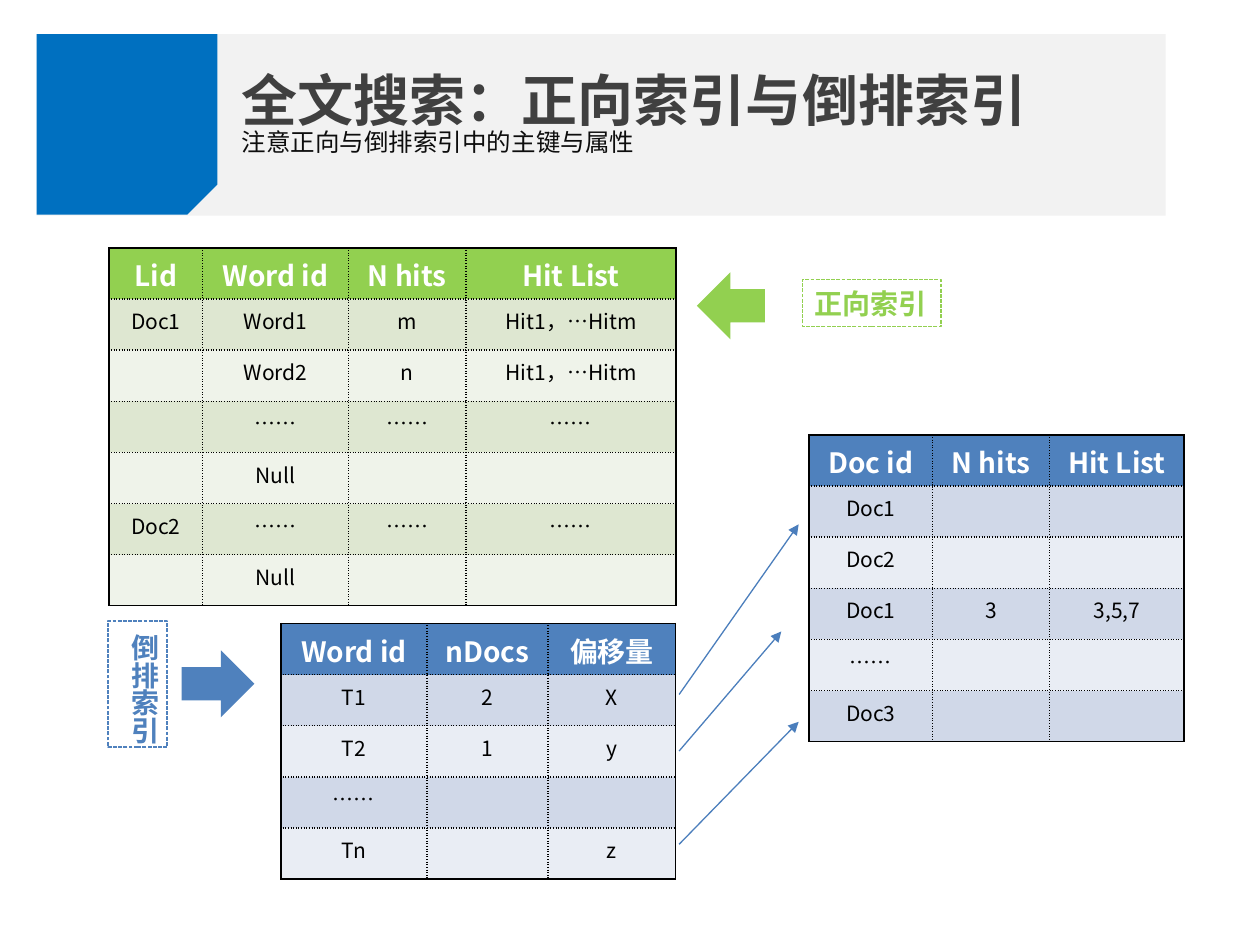
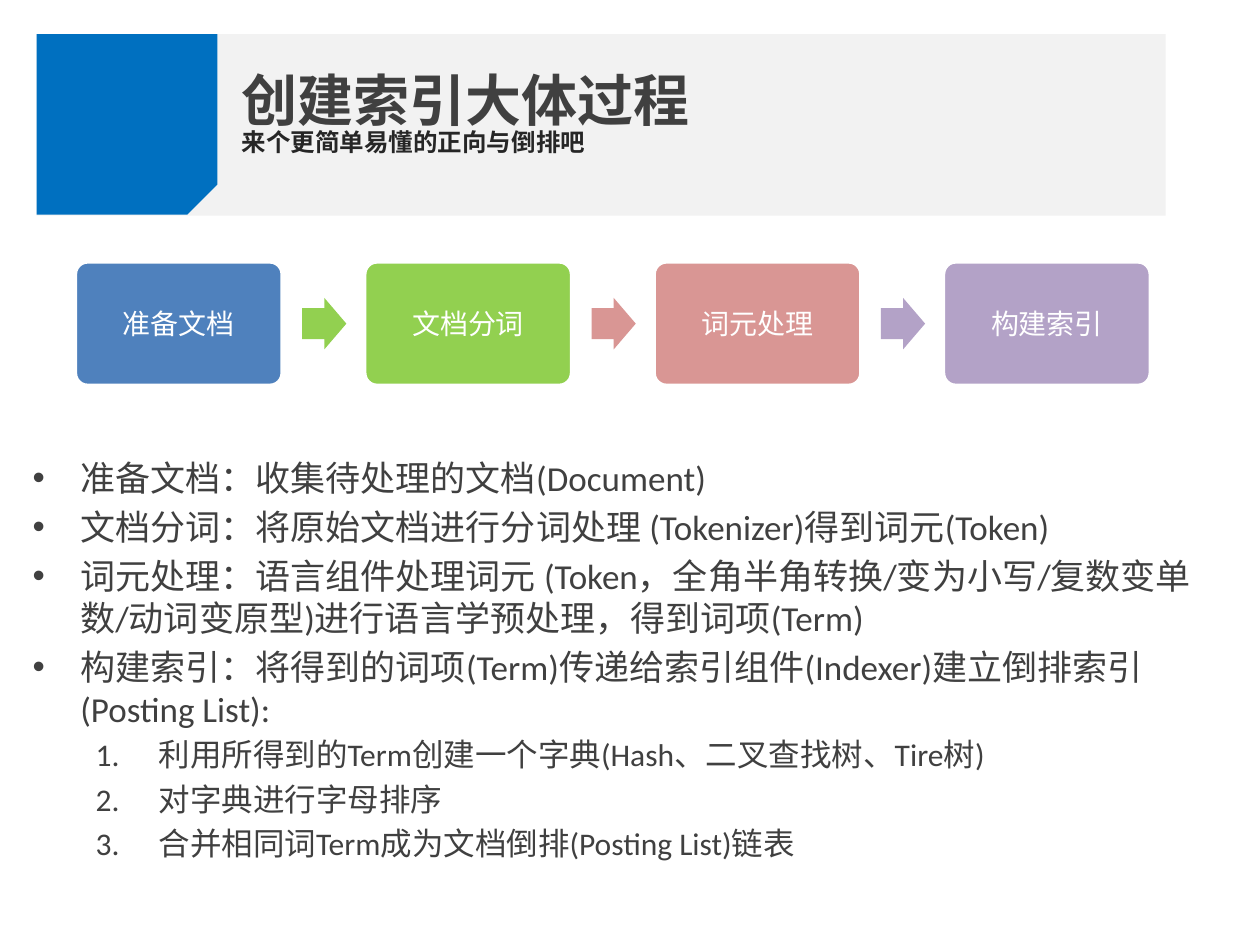
"""Build two slides on forward and inverted indexes."""
from lxml import etree
from pptx import Presentation
from pptx import util as u
from pptx.dml.color import RGBColor
from pptx.enum import dml, shapes, text
from pptx.oxml.ns import qn

CJK_FONT, BODY_FONT = "Noto Sans CJK SC", "Calibri"
BLACK = RGBColor(0x00, 0x00, 0x00)
WHITE = RGBColor(0xFF, 0xFF, 0xFF)
BAND_GREY = RGBColor(0xF2, 0xF2, 0xF2)
BAND_BLUE = RGBColor(0x00, 0x70, 0xC0)
TITLE_GREY = RGBColor(0x40, 0x40, 0x40)
NOTE_BLACK = RGBColor(0x0D, 0x0D, 0x0D)
NOTE_GREY = RGBColor(0x26, 0x26, 0x26)
BLUE = RGBColor(0x4F, 0x81, 0xBD)
GREEN = RGBColor(0x92, 0xD0, 0x50)
ROSE = RGBColor(0xD9, 0x96, 0x94)
PURPLE = RGBColor(0xB3, 0xA2, 0xC7)
LINK_BLUE = RGBColor(0x4B, 0x7E, 0xBC)
GREEN_ROWS = (RGBColor(0xDE, 0xE7, 0xD1), RGBColor(0xEF, 0xF3, 0xEA))
BLUE_ROWS = (RGBColor(0xD0, 0xD8, 0xE8), RGBColor(0xE9, 0xED, 0xF4))
ROW_HEIGHT = 1.03
BAND = (0.74, 0.69, 22.76, 3.66)

FORWARD_ROWS = [
    ("Lid", "Word id", "N hits", "Hit List"),
    ("Doc1", "Word1", "m", "Hit1，…Hitm"),
    ("", "Word2", "n", "Hit1，…Hitm"),
    ("", "……", "……", "……"),
    ("", "Null", "", ""),
    ("Doc2", "……", "……", "……"),
    ("", "Null", "", ""),
]
WORD_ROWS = [
    ("Word id", "nDocs", "偏移量"),
    ("T1", "2", "X"),
    ("T2", "1", "y"),
    ("……", "", ""),
    ("Tn", "", "z"),
]
POSTING_ROWS = [
    ("Doc id", "N hits", "Hit List"),
    ("Doc1", "", ""),
    ("Doc2", "", ""),
    ("Doc1", "3", "3,5,7"),
    ("……", "", ""),
    ("Doc3", "", ""),
]
STEPS = [("准备文档", BLUE), ("文档分词", GREEN), ("词元处理", ROSE), ("构建索引", PURPLE)]
STEP_NOTES = [
    "准备文档：收集待处理的文档(Document)",
    "文档分词：将原始文档进行分词处理 (Tokenizer)得到词元(Token)",
    "词元处理：语言组件处理词元 (Token，全角半角转换/变为小写/复数变单数/动词变原型)"
    "进行语言学预处理，得到词项(Term)",
    "构建索引：将得到的词项(Term)传递给索引组件(Indexer)建立倒排索引(Posting List):",
]
INDEXING_STEPS = [
    "利用所得到的Term创建一个字典(Hash、二叉查找树、Tire树)",
    "对字典进行字母排序",
    "合并相同词Term成为文档倒排(Posting List)链表",
]


def cm(*lengths):
    """Convert centimetre numbers to lengths."""
    return [u.Cm(length) for length in lengths]


def write(paragraph, words, size, color, bold=False, font=CJK_FONT, align=text.PP_ALIGN.LEFT):
    """Fill one paragraph and format all of it."""
    paragraph.text = words
    paragraph.alignment = align
    paragraph.font.size = u.Pt(size)
    paragraph.font.bold = bold
    paragraph.font.color.rgb = color
    paragraph.font.name = font
    latin = paragraph._p.pPr.find(".//" + qn("a:latin"))
    latin.addnext(etree.Element(qn("a:ea"), typeface=font))


def add_block(slide, preset, box, fill=None):
    """Add a preset shape without shadow or outline."""
    block = slide.shapes.add_shape(preset, *cm(*box))
    block.shadow.inherit = False
    block.line.fill.background()
    if fill is None:
        block.fill.background()
    else:
        block.fill.solid()
        block.fill.fore_color.rgb = fill
    return block


def add_header(slide, box, heading, note, note_color, note_bold):
    """Place the band, the title and the line below it."""
    left, top, width, height = box
    title = slide.shapes.title
    backdrop = add_block(slide, shapes.MSO_SHAPE.RECTANGLE, box, BAND_GREY)
    corner = add_block(slide, shapes.MSO_SHAPE.SNIP_1_RECTANGLE,
                       (left, top, height - 0.02, height - 0.02), BAND_BLUE)
    corner.rotation = 90
    for part in (backdrop, corner):
        title.element.addprevious(part.element)

    title.left, title.top, title.width, title.height = cm(left + 3.88, top - 0.28, 18.57, 2.31)
    frame = title.text_frame
    frame.auto_size = text.MSO_AUTO_SIZE.NONE
    frame.vertical_anchor = text.MSO_ANCHOR.BOTTOM
    frame.margin_bottom = u.Cm(0.05)
    write(frame.paragraphs[0], heading, 32, TITLE_GREY, True)

    subtitle = slide.shapes.add_textbox(*cm(left + 3.88, top + 1.82, 18.54, 0.86)).text_frame
    subtitle.word_wrap = True
    subtitle.margin_top = u.Cm(0.05)
    write(subtitle.paragraphs[0], note, 14, note_color, note_bold)


def set_borders(cell, outer_sides):
    """Draw solid lines on the outer sides and dotted ones elsewhere."""
    properties = cell._tc.get_or_add_tcPr()
    for place, side in enumerate("LRTB"):
        border = etree.Element(qn(f"a:ln{side}"), w=str(u.Pt(1)))
        fill = etree.SubElement(border, qn("a:solidFill"))
        etree.SubElement(fill, qn("a:srgbClr"), val=str(BLACK))
        dash = "solid" if side in outer_sides else "sysDot"
        etree.SubElement(border, qn("a:prstDash"), val=dash)
        properties.insert(place, border)


def add_index_table(slide, left, top, widths, rows, head_color, row_colors):
    """Add an index table with a coloured head and alternating rows."""
    box = cm(left, top, sum(widths), ROW_HEIGHT * len(rows))
    table = slide.shapes.add_table(len(rows), len(widths), *box).table
    for column, width in zip(table.columns, widths):
        column.width = u.Cm(width)
    for r, row in enumerate(rows):
        table.rows[r].height = u.Cm(ROW_HEIGHT)
        is_head = r == 0
        for c, words in enumerate(row):
            cell = table.cell(r, c)
            cell.fill.solid()
            cell.fill.fore_color.rgb = head_color if is_head else row_colors[(r - 1) % 2]
            edges = {"L": c == 0, "R": c == len(row) - 1, "T": is_head, "B": r == len(rows) - 1}
            set_borders(cell, [side for side, is_outer in edges.items() if is_outer])
            write(cell.text_frame.paragraphs[0], words, 16 if is_head else 12,
                  WHITE if is_head else BLACK, is_head, align=text.PP_ALIGN.CENTER)


def add_index_label(slide, box, words, color, vertical=False):
    """Add a dashed label naming an index."""
    label = add_block(slide, shapes.MSO_SHAPE.RECTANGLE, box)
    label.line.color.rgb = color
    label.line.width = u.Pt(0.75)
    label.line.dash_style = dml.MSO_LINE.SQUARE_DOT
    frame = label.text_frame
    frame.word_wrap = False
    frame.vertical_anchor = text.MSO_ANCHOR.TOP if vertical else text.MSO_ANCHOR.MIDDLE
    if vertical:
        label.element.find(".//" + qn("a:bodyPr")).set("vert", "eaVert")
    write(frame.paragraphs[0], words, 16, color, True)


def add_link(slide, start, end):
    """Add a thin arrow from a word to its postings."""
    link = slide.shapes.add_connector(shapes.MSO_CONNECTOR.STRAIGHT, *cm(*start, *end))
    link.line.color.rgb = LINK_BLUE
    link.line.width = u.Pt(0.75)
    etree.SubElement(link.line._get_or_add_ln(), qn("a:tailEnd"), type="triangle")
    etree.SubElement(link.element.spPr, qn("a:effectLst"))


def add_process(slide, box, steps):
    """Place equal step cards with an arrow before each later one."""
    left, top, width, height = box
    card_width, arrow_width, arrow_height = 4.17, 0.89, 1.04
    pitch = (width - card_width) / (len(steps) - 1)
    for i, (words, color) in enumerate(steps):
        card_left = left + i * pitch
        card = add_block(slide, shapes.MSO_SHAPE.ROUNDED_RECTANGLE,
                         (card_left, top, card_width, height), color)
        card.adjustments[0] = 0.1
        card.line.color.rgb = WHITE
        card.line.width = u.Pt(2)
        write(card.text_frame.paragraphs[0], words, 16, WHITE, align=text.PP_ALIGN.CENTER)
        if i:
            arrow = add_block(slide, shapes.MSO_SHAPE.RIGHT_ARROW,
                              (card_left - 1.26, top + (height - arrow_height) / 2,
                               arrow_width, arrow_height), color)
            arrow.adjustments[0] = 0.6


def add_list_item(paragraph, words, numbered):
    """Write a bulleted item or a numbered item one level below."""
    margin, hanging, size = (2.54, 1.27, 18) if numbered else (0.96, 0.96, 20)
    paragraph.level = int(numbered)
    properties = paragraph._p.get_or_add_pPr()
    properties.set("marL", str(u.Cm(margin)))
    properties.set("indent", str(-u.Cm(hanging)))
    if numbered:
        etree.SubElement(properties, qn("a:buFont"), typeface=BODY_FONT)
        etree.SubElement(properties, qn("a:buAutoNum"), type="arabicPeriod")
    else:
        etree.SubElement(properties, qn("a:buFont"), typeface="Arial")
        etree.SubElement(properties, qn("a:buChar"), char="•")
    paragraph.space_before = u.Pt(size * 0.2)
    write(paragraph, words, size, TITLE_GREY, font=BODY_FONT)


def add_explanation(slide, box):
    """Place the list that explains each step."""
    frame = slide.shapes.add_textbox(*cm(*box)).text_frame
    frame.word_wrap = True
    items = [(words, False) for words in STEP_NOTES] + [(words, True) for words in INDEXING_STEPS]
    for i, (words, numbered) in enumerate(items):
        paragraph = frame.add_paragraph() if i else frame.paragraphs[0]
        add_list_item(paragraph, words, numbered)


def build_index_slide(slide):
    """Compare the forward index with the inverted index."""
    add_header(slide, BAND, "全文搜索：正向索引与倒排索引",
               "注意正向与倒排索引中的主键与属性", NOTE_BLACK, False)
    add_index_table(slide, 2.2, 5, (1.88, 2.95, 2.36, 4.24), FORWARD_ROWS, GREEN, GREEN_ROWS)
    add_index_table(slide, 5.66, 12.57, (2.95, 2.44, 2.57), WORD_ROWS, BLUE, BLUE_ROWS)
    add_index_table(slide, 16.31, 8.77, (2.49, 2.36, 2.71), POSTING_ROWS, BLUE, BLUE_ROWS)
    for start_y, end in ((14, (16.1, 10.57)), (15.14, (15.75, 12.73)), (17.02, (16.1, 14.55))):
        add_link(slide, (13.69, start_y), end)
    add_index_label(slide, (2.18, 12.52, 1.19, 2.54), "倒排索引", BLUE, vertical=True)
    add_index_label(slide, (16.18, 5.64, 2.79, 0.94), "正向索引", GREEN)
    add_block(slide, shapes.MSO_SHAPE.RIGHT_ARROW, (3.66, 13.11, 1.47, 1.35), BLUE)
    add_block(slide, shapes.MSO_SHAPE.LEFT_ARROW, (14.05, 5.49, 1.37, 1.35), GREEN)


def build_process_slide(slide):
    """Show and explain the steps that create an index."""
    add_header(slide, BAND, "创建索引大体过程", "来个更简单易懂的正向与倒排吧", NOTE_GREY, True)
    add_explanation(slide, (0.41, 9.07, 24.99, 9.04))
    add_process(slide, (1.52, 5.28, 21.67, 2.49), STEPS)


def main():
    """Build and save the presentation."""
    deck = Presentation()
    deck.slide_width, deck.slide_height = cm(25.4, 19.05)
    title_only = deck.slide_layouts[5]
    for build in (build_index_slide, build_process_slide):
        build(deck.slides.add_slide(title_only))
    deck.save("out.pptx")


if __name__ == "__main__":
    main()
